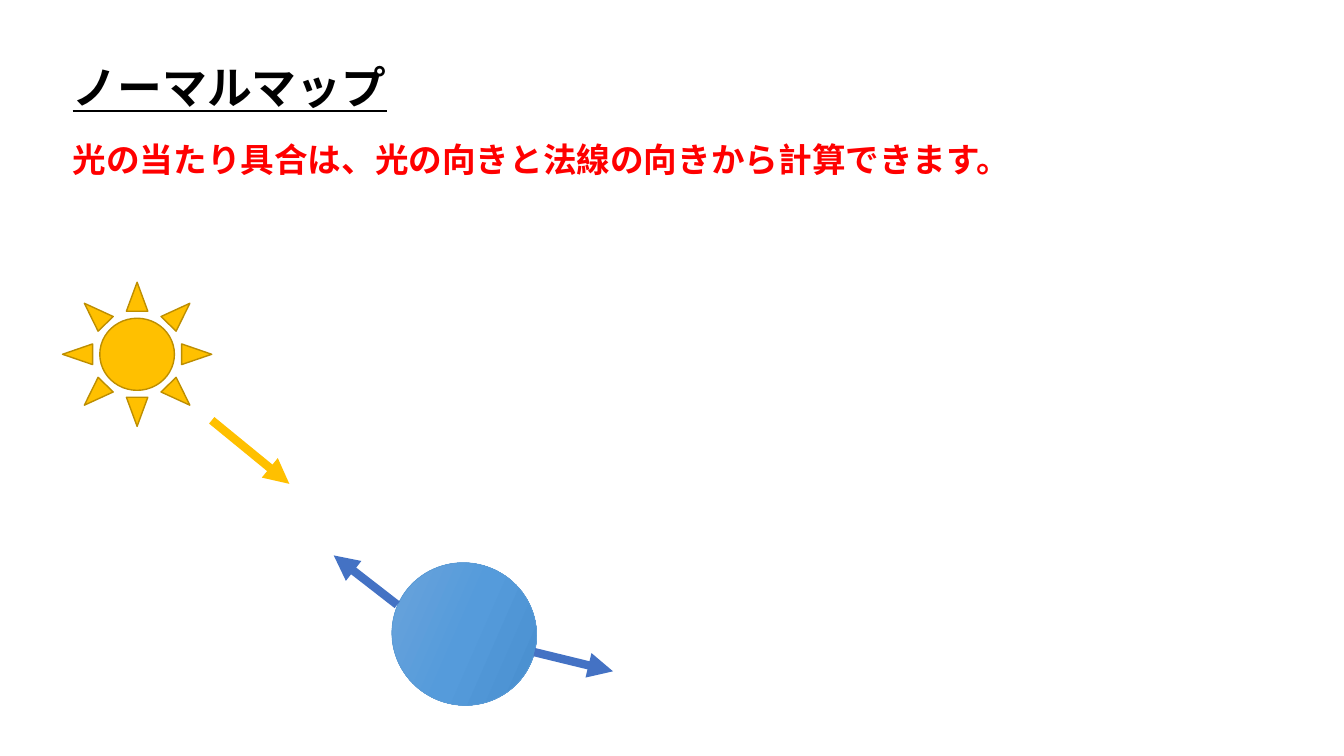
from copy import deepcopy
from lxml import etree
from pptx import Presentation
from pptx import util as u
from pptx.dml.color import RGBColor
from pptx.enum import shapes, text
from pptx.oxml.ns import qn

BLACK = RGBColor(0x00, 0x00, 0x00)
RED = RGBColor(0xFF, 0x00, 0x00)
GOLD = RGBColor(0xFF, 0xC0, 0x00)
BROWN = RGBColor(0xBD, 0x8E, 0x00)
BLUE = RGBColor(0x44, 0x72, 0xC4)
RIM = RGBColor(0x5B, 0x9B, 0xD5)
SHADES = [RGBColor(0x71, 0xA6, 0xDB), RGBColor(0x55, 0x9B, 0xDB),
          RGBColor(0x44, 0x8A, 0xCA)]
FONT = "Noto Sans CJK JP"
LEFT = 0.62


def place(*box):
    return [u.Inches(n) for n in box]


deck = Presentation()
deck.slide_width, deck.slide_height = place(13.33, 7.5)
slide = deck.slides.add_slide(deck.slide_layouts[1])
title, body = slide.placeholders

# Title and message
for holder, words, size, color, top, wide, high in (
        (title, "ノーマルマップ", 32, BLACK, 0.54, 3.34, 0.64),
        (body, "光の当たり具合は、光の向きと法線の向きから計算できます。",
         24, RED, 1.33, 9.63, 0.5)):
    holder.left, holder.top, holder.width, holder.height = place(
        LEFT, top, wide, high)
    frame = holder.text_frame
    frame.text = words
    frame.word_wrap = False
    frame.auto_size = text.MSO_AUTO_SIZE.SHAPE_TO_FIT_TEXT
    frame.vertical_anchor = text.MSO_ANCHOR.TOP
    para = frame.paragraphs[0]
    para.alignment = text.PP_ALIGN.LEFT
    para.line_spacing = 1.0
    para.space_before = u.Pt(0)
    props = para._p.get_or_add_pPr()
    props.set("marL", "0")
    props.set("indent", "0")
    etree.SubElement(props, qn("a:buNone"))
    # Japanese glyphs take the East Asian typeface
    for font in (para.font, para.runs[0].font):
        font.size = u.Pt(size)
        font.bold = True
        font.underline = holder is title
        font.color.rgb = color
        font.name = FONT
        latin = font._element.find(qn("a:latin"))
        east = etree.Element(qn("a:ea"), typeface=FONT)
        latin.addnext(east)

# Sun
sun = slide.shapes.add_shape(shapes.MSO_SHAPE.SUN, *place(LEFT, 2.8, 1.48, 1.43))
sun.shadow.inherit = False
sun.fill.solid()
sun.fill.fore_color.rgb = GOLD
sun.line.color.rgb = BROWN
sun.line.width = u.Pt(1)

# Ball, shaded along the light
ball = slide.shapes.add_shape(shapes.MSO_SHAPE.OVAL, *place(3.9, 5.57, 1.41, 1.44))
ball.shadow.inherit = False
ball.rotation = 293.7
ball.fill.gradient()
ball.fill.gradient_angle = 270
stops = ball._element.spPr.find(".//" + qn("a:gsLst"))
stops.append(deepcopy(stops[0]))
for i, stop in enumerate(ball.fill.gradient_stops):
    stop.position = i / 2
    stop.color.rgb = SHADES[i]
ball.line.color.rgb = RIM
ball.line.width = u.Pt(0.5)

# Light ray and two normals
for color, *ends in ((GOLD, 2.1, 4.17, 2.87, 4.8),
                     (BLUE, 3.94, 6, 3.31, 5.51),
                     (BLUE, 5.3, 6.47, 6.08, 6.66)):
    ray = slide.shapes.add_connector(shapes.MSO_CONNECTOR.STRAIGHT, *place(*ends))
    ray.line.color.rgb = color
    ray.line.width = u.Pt(6)
    etree.SubElement(ray.line._get_or_add_ln(), qn("a:tailEnd"), type="triangle")
    etree.SubElement(ray._element.spPr, qn("a:effectLst"))

deck.save("out.pptx")
